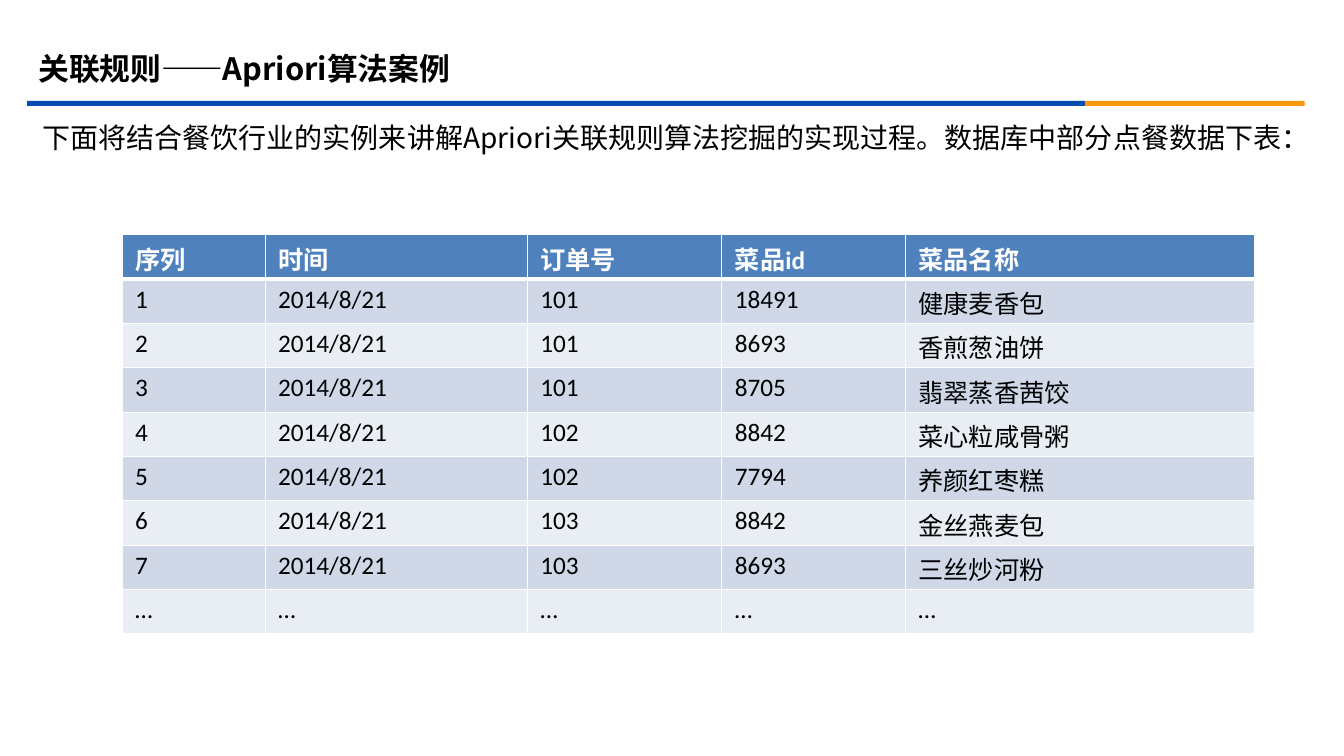
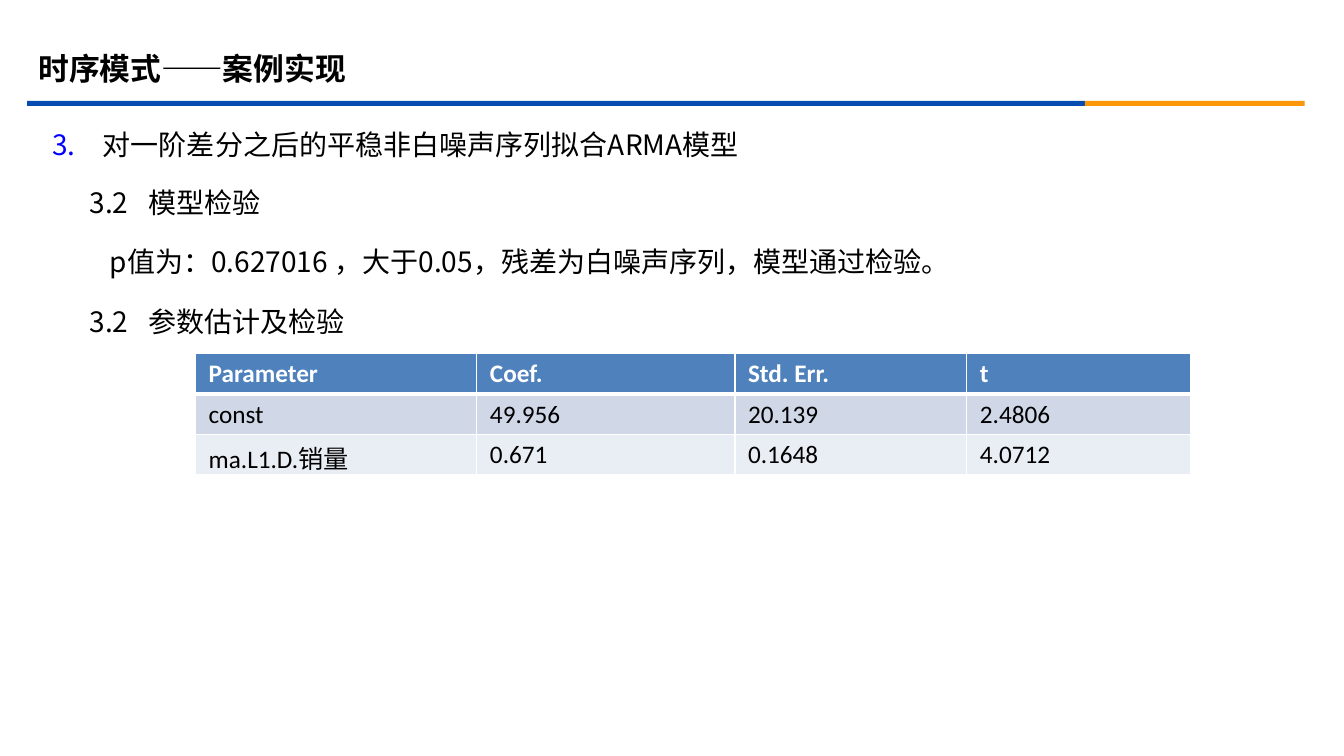
"""Builds two data mining slides: an Apriori case and an ARMA model check."""
from lxml.etree import SubElement
from pptx import Presentation
from pptx.dml.color import RGBColor
from pptx.enum.shapes import MSO_SHAPE
from pptx.enum.text import MSO_ANCHOR, MSO_AUTO_SIZE
from pptx.oxml.ns import qn
from pptx.util import Pt

PX = 9144
BLACK = RGBColor(0x00, 0x00, 0x00)
WHITE = RGBColor(0xFF, 0xFF, 0xFF)
BAND_BLUE = RGBColor(0x06, 0x4B, 0xB2)
BAND_ORANGE = RGBColor(0xFB, 0x97, 0x08)
NUMBER_BLUE = RGBColor(0x00, 0x00, 0xFF)
HEADER_BLUE = RGBColor(0x4F, 0x81, 0xBD)
ROW_TINTS = (RGBColor(0xE9, 0xED, 0xF4), RGBColor(0xD0, 0xD8, 0xE8))
CJK_FONT = "Noto Sans CJK SC"
TABLE_FONT = "Calibri"


def add_run(paragraph, text, size, font=CJK_FONT, color=BLACK, bold=False):
    run = paragraph.add_run()
    run.text = text
    run.font.size = Pt(size)
    run.font.bold = bold
    run.font.color.rgb = color
    run.font.name = font
    SubElement(run.font._element, qn("a:ea"), typeface=CJK_FONT)


def add_data_table(slide, left, top, widths, row_height, rows):
    table = slide.shapes.add_table(
        len(rows), len(widths), left * PX, top * PX,
        sum(widths) * PX, row_height * len(rows) * PX).table
    for column, width in zip(table.columns, widths):
        column.width = width * PX
    for r, values in enumerate(rows):
        table.rows[r].height = row_height * PX
        for c, value in enumerate(values):
            cell = table.cell(r, c)
            cell.margin_left = cell.margin_right = 13 * PX
            cell.margin_top = cell.margin_bottom = 5 * PX
            heavy_side = {0: "lnB", 1: "lnT"}.get(r)
            for side in ("lnL", "lnR", "lnT", "lnB"):
                weight = Pt(3 if side == heavy_side else 1)
                border = SubElement(cell._tc.get_or_add_tcPr(), qn(f"a:{side}"), w=str(weight))
                paint = SubElement(border, qn("a:solidFill"))
                SubElement(paint, qn("a:srgbClr"), val=str(WHITE))
            cell.fill.solid()
            cell.fill.fore_color.rgb = ROW_TINTS[r % 2] if r else HEADER_BLUE
            add_run(cell.text_frame.paragraphs[0], value, 18, TABLE_FONT,
                    BLACK if r else WHITE, r == 0)


deck = Presentation()
deck.slide_width, deck.slide_height = 1333 * PX, 750 * PX
layout = deck.slide_layouts[1]

for style, size in (("p:titleStyle", 22), ("p:bodyStyle", 20)):
    level = deck.slide_master.element.find(f".//{qn(style)}/{qn('a:lvl1pPr')}")
    level.set("algn", "l")
    level.find(qn("a:defRPr")).set("sz", str(size * 100))

heading = layout.placeholders[0]
heading.left, heading.top, heading.width, heading.height = 28 * PX, 39 * PX, 1200 * PX, 58 * PX
heading.text_frame.vertical_anchor = MSO_ANCHOR.MIDDLE

apriori = deck.slides.add_slide(layout)
arma = deck.slides.add_slide(layout)

for left, width, color in ((27, 1049, BAND_BLUE), (1076, 218, BAND_ORANGE)):
    band = apriori.shapes.add_shape(MSO_SHAPE.RECTANGLE, left * PX, 100 * PX, width * PX, 5 * PX)
    band.shadow.inherit = False
    band.fill.solid()
    band.fill.fore_color.rgb = color
    band.line.fill.background()
    layout.shapes.element.append(band.element)

leads = []
for slide, title, lead, box, hang, spacing in (
    (apriori, "关联规则——Apriori算法案例",
     "下面将结合餐饮行业的实例来讲解Apriori关联规则算法挖掘的实现过程。数据库中部分点餐数据下表：",
     (42, 103, 1276, 51), 38, 1.5),
    (arma, "时序模式——案例实现", "对一阶差分之后的平稳非白噪声序列拟合ARMA模型",
     (52, 106, 1271, 53), 50, 1.6),
):
    add_run(slide.shapes.title.text_frame.paragraphs[0], title, 22, bold=True)
    body = slide.placeholders[1]
    body.left, body.top, body.width, body.height = (length * PX for length in box)
    frame = body.text_frame
    frame.margin_left = frame.margin_top = frame.margin_right = frame.margin_bottom = 0
    frame.auto_size = MSO_AUTO_SIZE.SHAPE_TO_FIT_TEXT
    paragraph = frame.paragraphs[0]
    paragraph.line_spacing = spacing
    add_run(paragraph, lead, 20)
    properties = paragraph._p.get_or_add_pPr()
    properties.set("marL", str(hang * PX))
    properties.set("indent", str(-hang * PX))
    leads.append(properties)

intro, numbered = leads
SubElement(intro, qn("a:buNone"))
number_color = SubElement(numbered, qn("a:buClr"))
SubElement(number_color, qn("a:srgbClr"), val=str(NUMBER_BLUE))
SubElement(numbered, qn("a:buFont"), typeface="+mj-lt")
SubElement(numbered, qn("a:buAutoNum"), type="arabicPeriod", startAt="3")

add_data_table(apriori, 121, 233, (142, 260, 193, 182, 346), 44, (
    ("序列", "时间", "订单号", "菜品id", "菜品名称"),
    ("1", "2014/8/21", "101", "18491", "健康麦香包"),
    ("2", "2014/8/21", "101", "8693", "香煎葱油饼"),
    ("3", "2014/8/21", "101", "8705", "翡翠蒸香茜饺"),
    ("4", "2014/8/21", "102", "8842", "菜心粒咸骨粥"),
    ("5", "2014/8/21", "102", "7794", "养颜红枣糕"),
    ("6", "2014/8/21", "103", "8842", "金丝燕麦包"),
    ("7", "2014/8/21", "103", "8693", "三丝炒河粉"),
    ("…",) * 5,
))

steps = arma.shapes.add_textbox(79 * PX, 159 * PX, 1218 * PX, 188 * PX).text_frame
steps.word_wrap = True
steps.auto_size = MSO_AUTO_SIZE.SHAPE_TO_FIT_TEXT
for i, (text, margin, indent) in enumerate((
    ("3.2\t模型检验", 58, -58),
    ("p值为：0.627016 ，大于0.05，残差为白噪声序列，模型通过检验。", 20, 0),
    ("3.2\t参数估计及检验", 58, -58),
)):
    step = steps.add_paragraph() if i else steps.paragraphs[0]
    step.line_spacing = 1.6
    step.space_after = Pt(4)
    add_run(step, text, 20)
    properties = step._p.get_or_add_pPr()
    properties.set("marL", str(margin * PX))
    properties.set("indent", str(indent * PX))

add_data_table(arma, 194, 351, (279, 256, 230, 222), 40, (
    ("Parameter", "Coef.", "Std. Err.", "t"),
    ("const", "49.956", "20.139", "2.4806"),
    ("ma.L1.D.销量", "0.671", "0.1648", "4.0712"),
))

deck.save("out.pptx")
